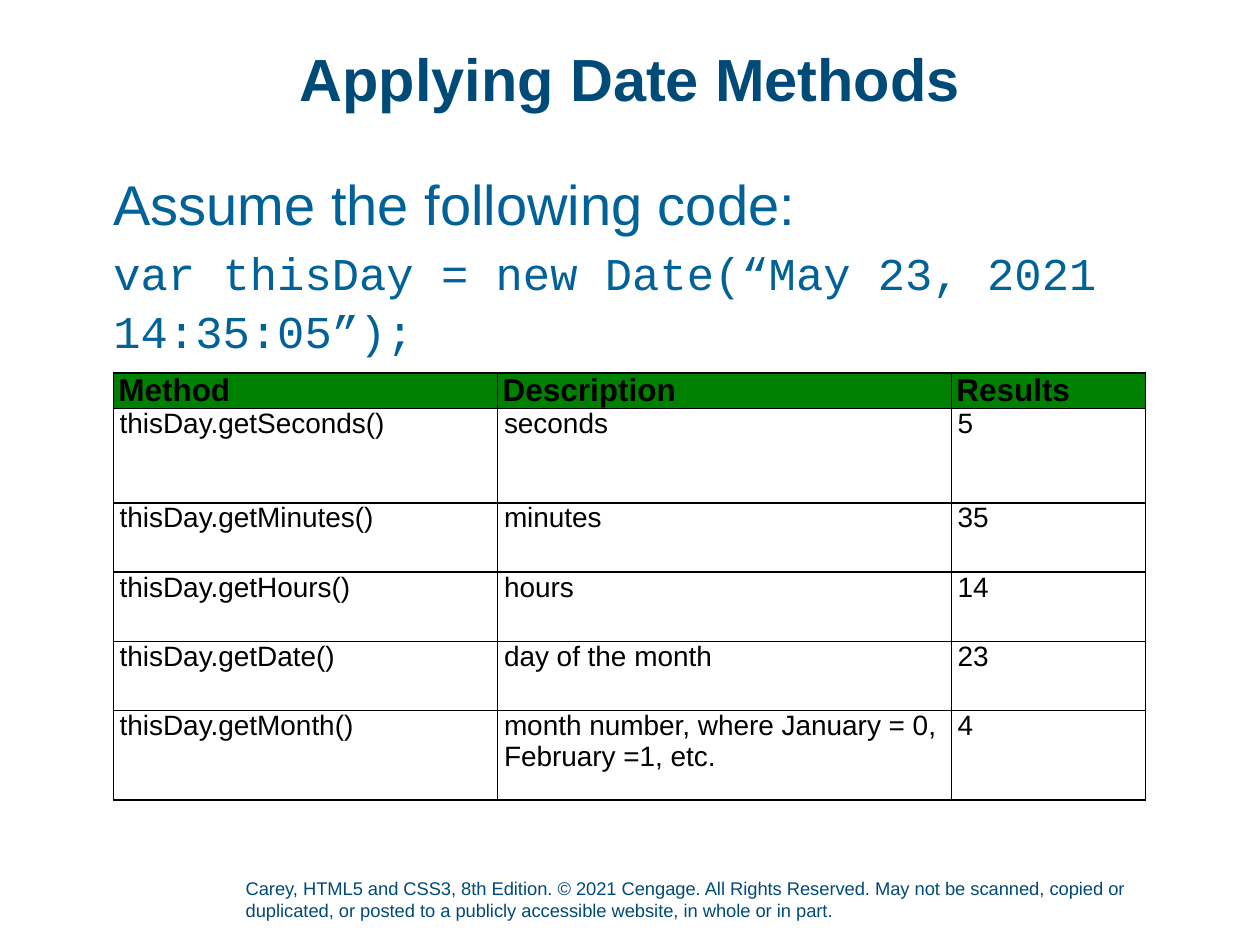
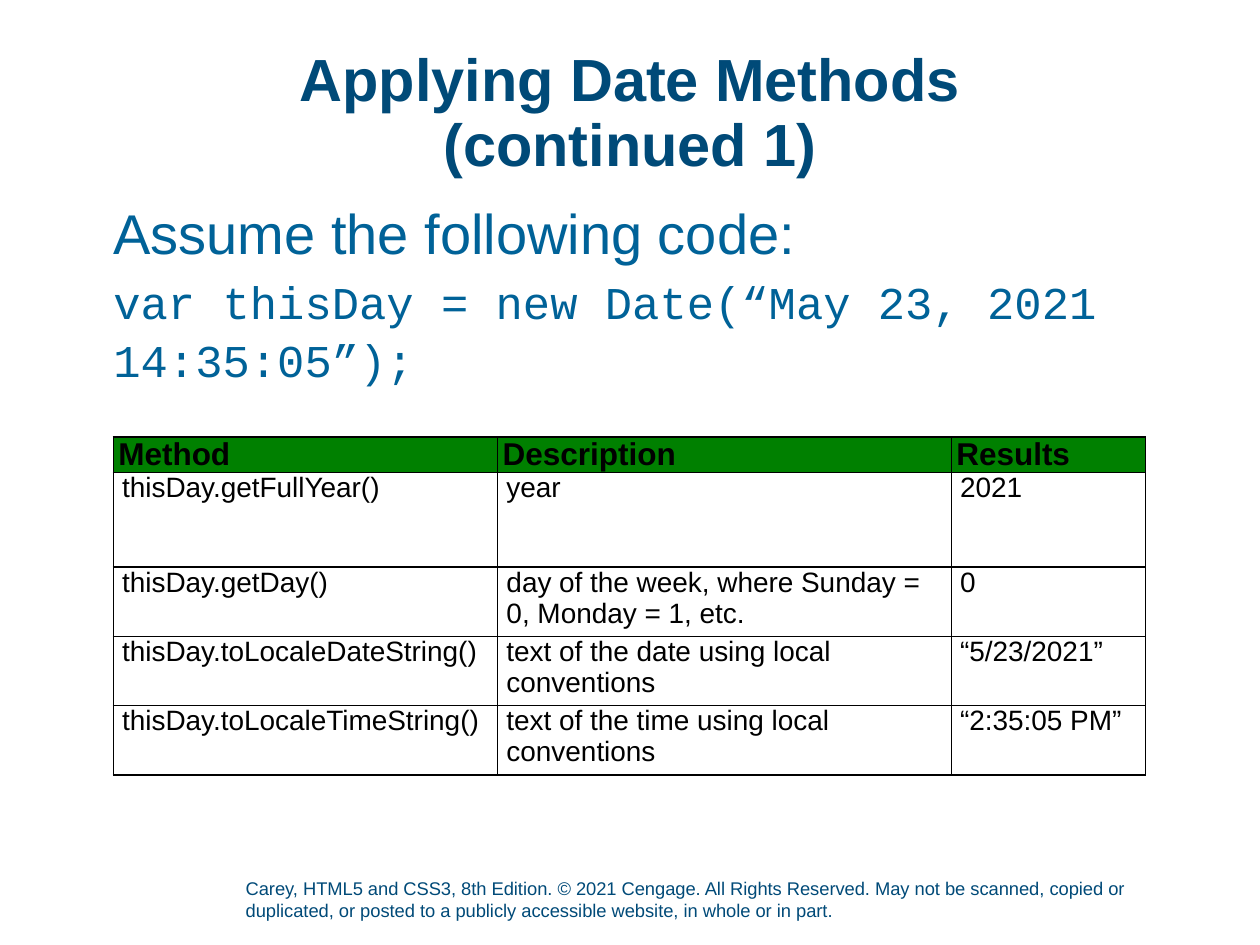
from lxml import etree
from pptx import Presentation
from pptx.dml.color import RGBColor
from pptx.enum.text import MSO_ANCHOR, MSO_AUTO_SIZE, PP_ALIGN
from pptx.oxml.ns import qn
from pptx.util import Inches, Pt

TOP, BOTTOM = MSO_ANCHOR.TOP, MSO_ANCHOR.BOTTOM
CENTER, LEFT = PP_ALIGN.CENTER, PP_ALIGN.LEFT
NO_FIT = MSO_AUTO_SIZE.NONE

NAVY, BLUE, GREEN, BLACK = "004A78", "006298", "008000", "000000"
SANS, MONO = "Arial", "Courier New"
MARGIN, CONTENT_WIDTH = 0.9, 8.19
COLUMN_WIDTHS = (3.05, 3.6, 1.54)
HEADER_HEIGHT = 0.28
HEADINGS = ("Method", "Description", "Results")
FOOTER = (
    "Carey, HTML5 and CSS3, 8th Edition. © 2021 Cengage. All Rights Reserved. "
    "May not be scanned, copied or duplicated, or posted to a publicly "
    "accessible website, in whole or in part."
)
INTRO = "Assume the following code:"
CODE = "var thisDay = new Date(“May 23, 2021 14:35:05”);"

TIME_METHODS = (
    ("thisDay.getSeconds()", "seconds", "5"),
    ("thisDay.getMinutes()", "minutes", "35"),
    ("thisDay.getHours()", "hours", "14"),
    ("thisDay.getDate()", "day of the month", "23"),
    ("thisDay.getMonth()", "month number, where January = 0, February =1, etc.", "4"),
)
DATE_METHODS = (
    ("thisDay.getFullYear()", "year", "2021"),
    ("thisDay.getDay()", "day of the week, where Sunday = 0, Monday = 1, etc.", "0"),
    ("thisDay.toLocaleDateString()", "text of the date using local conventions", "“5/23/2021”"),
    ("thisDay.toLocaleTimeString()", "text of the time using local conventions", "“2:35:05 PM”"),
)


def color(value):
    return RGBColor.from_string(value)


def place(shape, left, top, width, height):
    shape.left, shape.top = Inches(left), Inches(top)
    shape.width, shape.height = Inches(width), Inches(height)


def set_frame(frame, anchor=TOP, bottom=0):
    frame.word_wrap = True
    frame.auto_size = NO_FIT
    frame.vertical_anchor = anchor
    frame.margin_left = frame.margin_right = frame.margin_top = 0
    frame.margin_bottom = Inches(bottom)


def add_span(para, text, size, ink, font=SANS, bold=False):
    span = para.add_run()
    span.text = text
    span.font.name = font
    span.font.size = Pt(size)
    span.font.bold = bold
    span.font.color.rgb = color(ink)


def add_title(page, lines):
    title = page.shapes.title
    place(title, 0.69, 0.4, 8.62, 0.74)
    set_frame(title.text_frame)
    para = title.text_frame.paragraphs[0]
    para.alignment = CENTER
    para.line_spacing = 0.9
    for index, line in enumerate(lines):
        if index:
            para.add_line_break()
        add_span(para, line, 34, NAVY, bold=True)


def format_plain(para, space_before):
    properties = para._p.get_or_add_pPr()
    properties.set("marL", "0")
    properties.set("indent", "0")
    etree.SubElement(properties, qn("a:buNone"))
    para.alignment = LEFT
    para.line_spacing = 1.06
    para.space_before = Pt(space_before)


def add_code_intro(page, top, height):
    body = page.placeholders[1]
    place(body, MARGIN, top, CONTENT_WIDTH, height)
    frame = body.text_frame
    set_frame(frame)
    intro = frame.paragraphs[0]
    format_plain(intro, 0)
    add_span(intro, INTRO, 32, BLUE)
    code = frame.add_paragraph()
    format_plain(code, 3)
    add_span(code, CODE, 26, BLUE, MONO)


def set_borders(cell):
    properties = cell._tc.get_or_add_tcPr()
    for side in ("lnL", "lnR", "lnT", "lnB"):
        line = etree.SubElement(properties, qn(f"a:{side}"), w=str(Pt(1)))
        fill = etree.SubElement(line, qn("a:solidFill"))
        etree.SubElement(fill, qn("a:srgbClr"), val=BLACK)


def fill_cell(cell, text, is_header, side_margin):
    set_borders(cell)
    cell.margin_left = cell.margin_right = Inches(0.04 if is_header else side_margin)
    cell.margin_top = cell.margin_bottom = 0
    cell.vertical_anchor = BOTTOM if is_header else TOP
    if is_header:
        cell.fill.solid()
        cell.fill.fore_color.rgb = color(GREEN)
    else:
        cell.fill.background()
    para = cell.text_frame.paragraphs[0]
    add_span(para, text, 18 if is_header else 16, BLACK, bold=is_header)


def add_method_table(page, top, methods, row_heights, side_margin):
    rows = (HEADINGS, *methods)
    heights = (HEADER_HEIGHT, *row_heights)
    table = page.shapes.add_table(
        len(rows), len(HEADINGS), Inches(MARGIN), Inches(top),
        Inches(CONTENT_WIDTH), Inches(sum(heights)),
    ).table
    table.horz_banding = False
    for column, width in zip(table.columns, COLUMN_WIDTHS):
        column.width = Inches(width)
    for index, (texts, height) in enumerate(zip(rows, heights)):
        table.rows[index].height = Inches(height)
        for cell, text in zip(table.rows[index].cells, texts):
            fill_cell(cell, text, index == 0, side_margin)


def add_footer(page):
    box = page.shapes.add_textbox(Inches(1.95), Inches(6.96), Inches(7.62), Inches(0.4))
    set_frame(box.text_frame, BOTTOM, 0.05)
    add_span(box.text_frame.paragraphs[0], FOOTER, 10.5, NAVY)


def add_page(deck, title_lines):
    page = deck.slides.add_slide(deck.slide_layouts[1])
    add_title(page, title_lines)
    add_footer(page)
    return page


def main():
    deck = Presentation()
    deck.slide_width, deck.slide_height = Inches(10), Inches(7.5)

    page = add_page(deck, ["Applying Date Methods"])
    add_code_intro(page, 1.31, 1.46)
    add_method_table(page, 2.96, TIME_METHODS, (0.75, 0.55, 0.55, 0.55, 0.71), 0.05)

    page = add_page(deck, ["Applying Date Methods", "(continued 1)"])
    add_code_intro(page, 1.54, 1.8)
    add_method_table(page, 3.47, DATE_METHODS, (0.75, 0.55, 0.55, 0.55), 0.07)

    deck.save("out.pptx")


if __name__ == "__main__":
    main()
